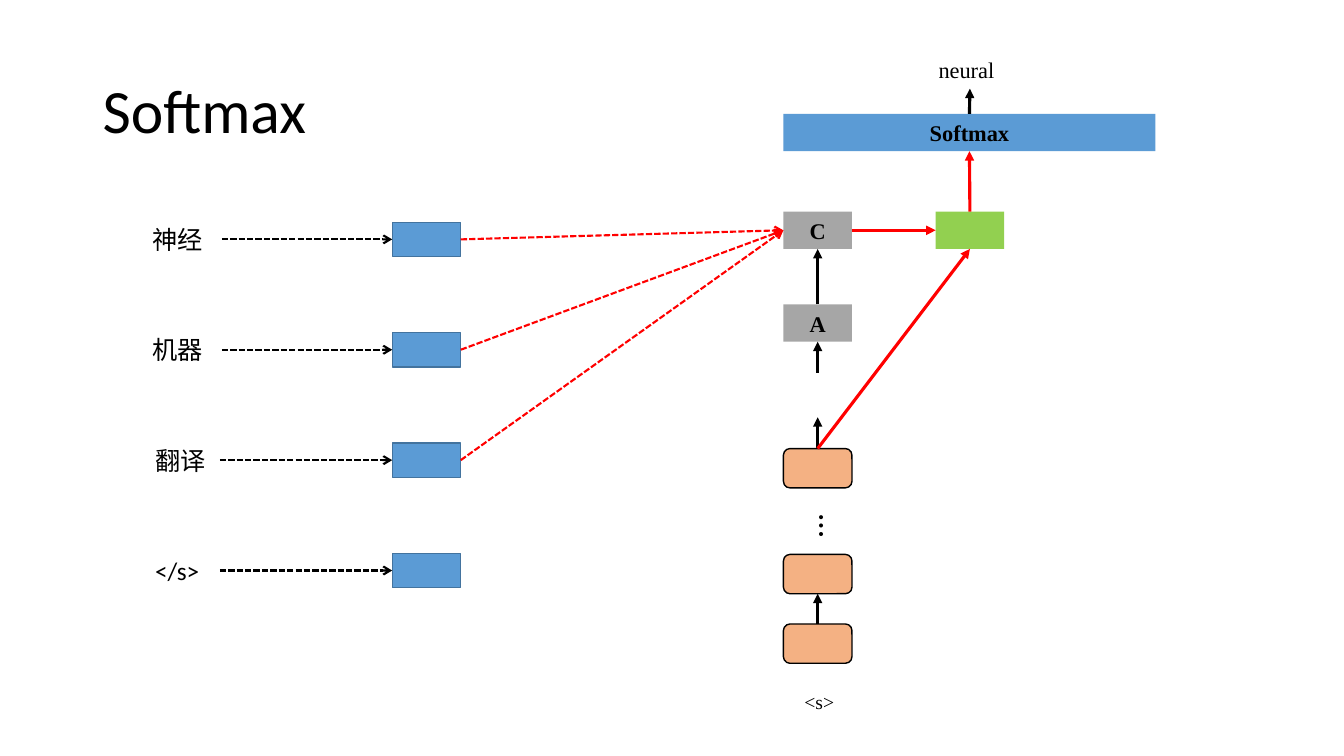
from lxml import etree
from pptx import Presentation
from pptx.dml.color import RGBColor
from pptx.enum.dml import MSO_LINE
from pptx.enum.shapes import MSO_CONNECTOR, MSO_SHAPE
from pptx.enum.text import MSO_ANCHOR, PP_ALIGN
from pptx.oxml.ns import qn
from pptx.util import Inches, Pt

RECTANGLE, ROUNDED = MSO_SHAPE.RECTANGLE, MSO_SHAPE.ROUNDED_RECTANGLE
STRAIGHT, DASH = MSO_CONNECTOR.STRAIGHT, MSO_LINE.SQUARE_DOT
MIDDLE, TOP_ANCHOR = MSO_ANCHOR.MIDDLE, MSO_ANCHOR.TOP
CENTER, LEFT_ALIGN = PP_ALIGN.CENTER, PP_ALIGN.LEFT
TOP, LEFT, BOTTOM, RIGHT = range(4)
BLACK, RED, BLUE, GRAY = "000000", "FF0000", "5B9BD5", "A6A6A6"
ORANGE, GREEN, BLUE_EDGE = "F4B183", "92D050", "43739E"
SERIF = "Times New Roman"

presentation = Presentation()
presentation.slide_width = Inches(13.33)
presentation.slide_height = Inches(7.5)
slide = presentation.slides.add_slide(presentation.slide_layouts[6])


def add_box(place, text="", kind=None, fill=None, edge=None, size=16, font="Calibri", anchor=None):
    lengths = [Inches(value) for value in place]
    if kind is None:
        shape = slide.shapes.add_textbox(*lengths)
    else:
        shape = slide.shapes.add_shape(kind, *lengths)
        shape.shadow.inherit = False
        shape.fill.solid()
        shape.fill.fore_color.rgb = RGBColor.from_string(fill)
        if edge:
            shape.line.color.rgb = RGBColor.from_string(edge)
            shape.line.width = Pt(1)
        else:
            shape.line.fill.background()
    if text:
        frame = shape.text_frame
        frame.word_wrap = True
        frame.vertical_anchor = anchor or (MIDDLE if kind else TOP_ANCHOR)
        paragraph = frame.paragraphs[0]
        paragraph.text = text
        paragraph.alignment = CENTER if kind else LEFT_ALIGN
        font_format = {"size": Pt(size), "name": font, "bold": kind is not None}
        for name, value in font_format.items():
            setattr(paragraph.font, name, value)
        paragraph.font.color.rgb = RGBColor.from_string(BLACK)
    return shape


def add_arrow(start, end, color=BLACK, dashed=False):
    joined = [not isinstance(point[0], float) for point in (start, end)]
    points = [(0, 0) if join else point for join, point in zip(joined, (start, end))]
    connector = slide.shapes.add_connector(
        STRAIGHT, *[Inches(value) for point in points for value in point])
    if joined[0]:
        connector.begin_connect(*start)
    if joined[1]:
        connector.end_connect(*end)
    connector.line.color.rgb = RGBColor.from_string(color)
    connector.line.width = Pt(1.5 if dashed else 2.25)
    if dashed:
        connector.line.dash_style = DASH
    tail = etree.SubElement(connector.get_or_add_ln(), qn("a:tailEnd"))
    tail.set("type", "arrow" if dashed else "triangle")
    etree.SubElement(connector._element.spPr, qn("a:effectLst"))


title = add_box((0.92, 0.4, 11.5, 1.45), "Softmax", size=44, anchor=MIDDLE)
title.text_frame.paragraphs[0].line_spacing = 0.9

column, block_width, block_height = 7.77, 0.68, 0.37
column_center = column + block_width / 2

first_state, second_state, last_state = [
    add_box((column, top, block_width, 0.39), kind=ROUNDED, fill=ORANGE, edge=BLACK)
    for top in (6.19, 5.5, 4.45)]
attention, context = [
    add_box((column, top, block_width, block_height), label, RECTANGLE, GRAY, font=SERIF)
    for label, top in (("A", 3.02), ("C", 2.1))]
combined = add_box((9.28, 2.1, block_width, block_height), kind=RECTANGLE, fill=GREEN)
softmax = add_box((column, 1.13, 3.69, block_height), "Softmax", RECTANGLE, BLUE, font=SERIF)

ellipsis = add_box((7.9, 5.01, 0.61, 0.4), "…", size=24)
ellipsis.text_frame._txBody.bodyPr.set("vert", "eaVert")
add_box((9.21, 0.51, 0.82, 0.37), "neural", font=SERIF)
add_box((7.88, 6.8, 0.64, 0.34), "<s>", size=14, font=SERIF)

source_words = [("神经", 1.41, 0.79), ("机器", 1.41, 0.79), ("翻译", 1.44, 0.74), ("</s>", 1.44, 0.74)]
for row, (word, left, width) in enumerate(source_words):
    center = 2.375 + 1.095 * row
    add_box((left, center - 0.2, width, 0.4), word, size=18)
    encoder = add_box((3.89, center - 0.17, block_width, 0.34), kind=RECTANGLE, fill=BLUE, edge=BLUE_EDGE)
    add_arrow((left + width, center), (encoder, LEFT), dashed=True)
    if word != "</s>":
        add_arrow((encoder, RIGHT), (context, LEFT), RED, dashed=True)

for start, end, color in [
    ((first_state, TOP), (second_state, BOTTOM), BLACK),
    ((last_state, TOP), (column_center, 4.14), BLACK),
    ((column_center, 3.7), (attention, BOTTOM), BLACK),
    ((attention, TOP), (context, BOTTOM), BLACK),
    ((softmax, TOP), (9.62, 0.88), BLACK),
    ((context, RIGHT), (combined, LEFT), RED),
    ((last_state, TOP), (combined, BOTTOM), RED),
    ((combined, TOP), (softmax, BOTTOM), RED),
]:
    add_arrow(start, end, color)

presentation.save("out.pptx")
